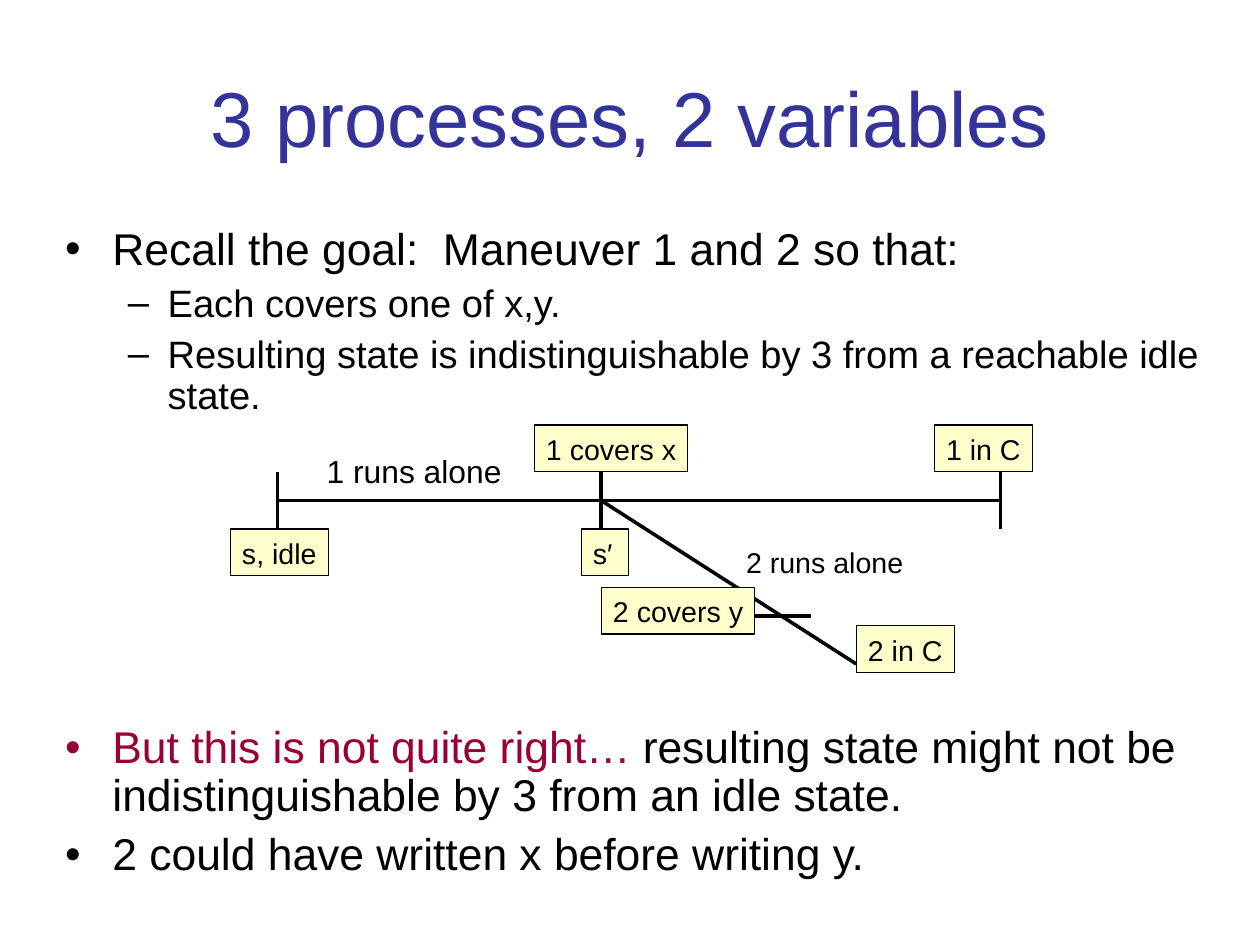
from lxml import etree
from pptx import Presentation
from pptx.dml.color import RGBColor
from pptx.enum import shapes, text
from pptx.oxml import ns
from pptx.util import Pt

COLORS = {"title": "333399", "text": "000000", "accent": "990033", "label": "FFFFCC"}
FONT = "Arial"


def rgb(name):
    return RGBColor.from_string(COLORS[name])


def style(r, size, color="text"):
    r.font.name = FONT
    r.font.size = Pt(size)
    r.font.color.rgb = rgb(color)


def place(sp, x, y, w, h):
    sp.left, sp.top, sp.width, sp.height = Pt(x), Pt(y), Pt(w), Pt(h)
    tf = sp.text_frame
    tf.auto_size = text.MSO_AUTO_SIZE.NONE
    tf.word_wrap = True
    tf.margin_left = tf.margin_right = Pt(7.9)
    tf.margin_top = tf.margin_bottom = Pt(4.1)
    return tf


def set_bullet(p, char, color, margin, hang):
    pPr = p._p.get_or_add_pPr()
    pPr.set("marL", str(Pt(margin)))
    pPr.set("indent", str(-Pt(hang)))
    clr = etree.SubElement(pPr, ns.qn("a:buClr"))
    etree.SubElement(clr, ns.qn("a:srgbClr")).set("val", COLORS[color])
    etree.SubElement(pPr, ns.qn("a:buFont")).set("typeface", FONT)
    etree.SubElement(pPr, ns.qn("a:buChar")).set("char", char)


def add_title(s, x, y, w, h):
    tf = place(s.shapes.title, x, y, w, h)
    tf.text = "3 processes, 2 variables"
    tf.vertical_anchor = text.MSO_ANCHOR.MIDDLE
    p = tf.paragraphs[0]
    p.alignment = text.PP_ALIGN.CENTER
    style(p.runs[0], 49, "title")


def add_body(s, x, y, w, h):
    items = [
        (0, 7, [("Recall the goal:  Maneuver 1 and 2 so that:", "text")]),
        (1, 6, [("Each covers one of x,y.", "text")]),
        (1, 6, [("Resulting state is indistinguishable by 3 from a reachable idle state.", "text")]),
        (0, 194, [("But this is not quite right…", "accent"),
                  (" resulting state might not be indistinguishable by 3 from an idle state.", "text")]),
        (0, 7, [("2 could have written x before writing y.", "text")]),
    ]
    levels = [(28, "•", 29.8, 29.8), (24, "–", 64.6, 25)]
    tf = place(s.placeholders[1], x, y, w, h)
    tf.vertical_anchor = text.MSO_ANCHOR.TOP
    for i, (level, before, parts) in enumerate(items):
        p = tf.add_paragraph() if i else tf.paragraphs[0]
        size, char, margin, hang = levels[level]
        p.level = level
        p.alignment = text.PP_ALIGN.LEFT
        p.line_spacing = 0.9
        p.space_before = Pt(before)
        set_bullet(p, char, parts[0][1], margin, hang)
        for words, color in parts:
            r = p.add_run()
            r.text = words
            style(r, size, color)


def add_line(group, x1, y1, x2, y2):
    line = group.shapes.add_connector(
        shapes.MSO_CONNECTOR.STRAIGHT, Pt(x1), Pt(y1), Pt(x2), Pt(y2))
    line.line.color.rgb = rgb("text")
    line.line.width = Pt(2.25)
    etree.SubElement(line._element.spPr, ns.qn("a:effectLst"))


def add_label(group, words, x, y, w, h, size=18, boxed=True):
    box = Pt(x), Pt(y), Pt(w), Pt(h)
    if boxed:
        sp = group.shapes.add_shape(shapes.MSO_SHAPE.RECTANGLE, *box)
        sp.shadow.inherit = False
        sp.fill.solid()
        sp.fill.fore_color.rgb = rgb("label")
        sp.line.color.rgb = rgb("text")
        sp.line.width = Pt(0.75)
    else:
        sp = group.shapes.add_textbox(*box)
    tf = sp.text_frame
    tf.text = words
    tf.word_wrap = False
    tf.auto_size = text.MSO_AUTO_SIZE.NONE
    tf.margin_right = 0
    tf.vertical_anchor = text.MSO_ANCHOR.TOP
    p = tf.paragraphs[0]
    p.alignment = text.PP_ALIGN.LEFT
    p.line_spacing = 1.04
    style(p.runs[0], size)


def add_diagram(s, x, y, w, h):
    group = s.shapes.add_group_shape()
    start, fork, end = x + 29.5, x + 233.2, x + w - 20
    axis, tick, row = y + 47.5, 18, 29.5
    below = axis + tick
    add_line(group, start, axis, end, axis)
    for mark in (start, fork, end):
        add_line(group, mark, axis - tick, mark, axis + tick)
    add_line(group, fork, axis, x + 394, y + h - 5.5)

    labels = [
        ("s, idle", x, below, 61.5),
        ("1 in C", x + 443.5, y, 61.5),
        ("1 covers x", x + 191.5, y, 96.5),
        ("s′", x + 221, below, 29.5),
        ("2 in C", x + 394.3, y + h - row, 61.5),
        ("2 covers y", x + 233.7, y + 102.2, 96.5),
    ]
    for words, left, top, width in labels:
        add_label(group, words, left, top, width, row)
    add_label(group, "1 runs alone", x + 53.3, y + 12.2, 124.5, 32.5, 20, False)
    add_label(group, "2 runs alone", x + 317.5, y + 71.3, 114, row, 18, False)
    add_line(group, x + 329.7, y + 120.2, x + 365.7, y + 120.2)


def main():
    prs = Presentation()
    prs.slide_width, prs.slide_height = Pt(793.75), Pt(595.25)
    s = prs.slides.add_slide(prs.slide_layouts[1])
    add_title(s, 39.6, 23.8, 714.4, 99.2)
    add_body(s, 33.1, 138.8, 740.9, 440.6)
    add_diagram(s, 145.4, 267.7, 505, 156)
    prs.save("out.pptx")


if __name__ == "__main__":
    main()
